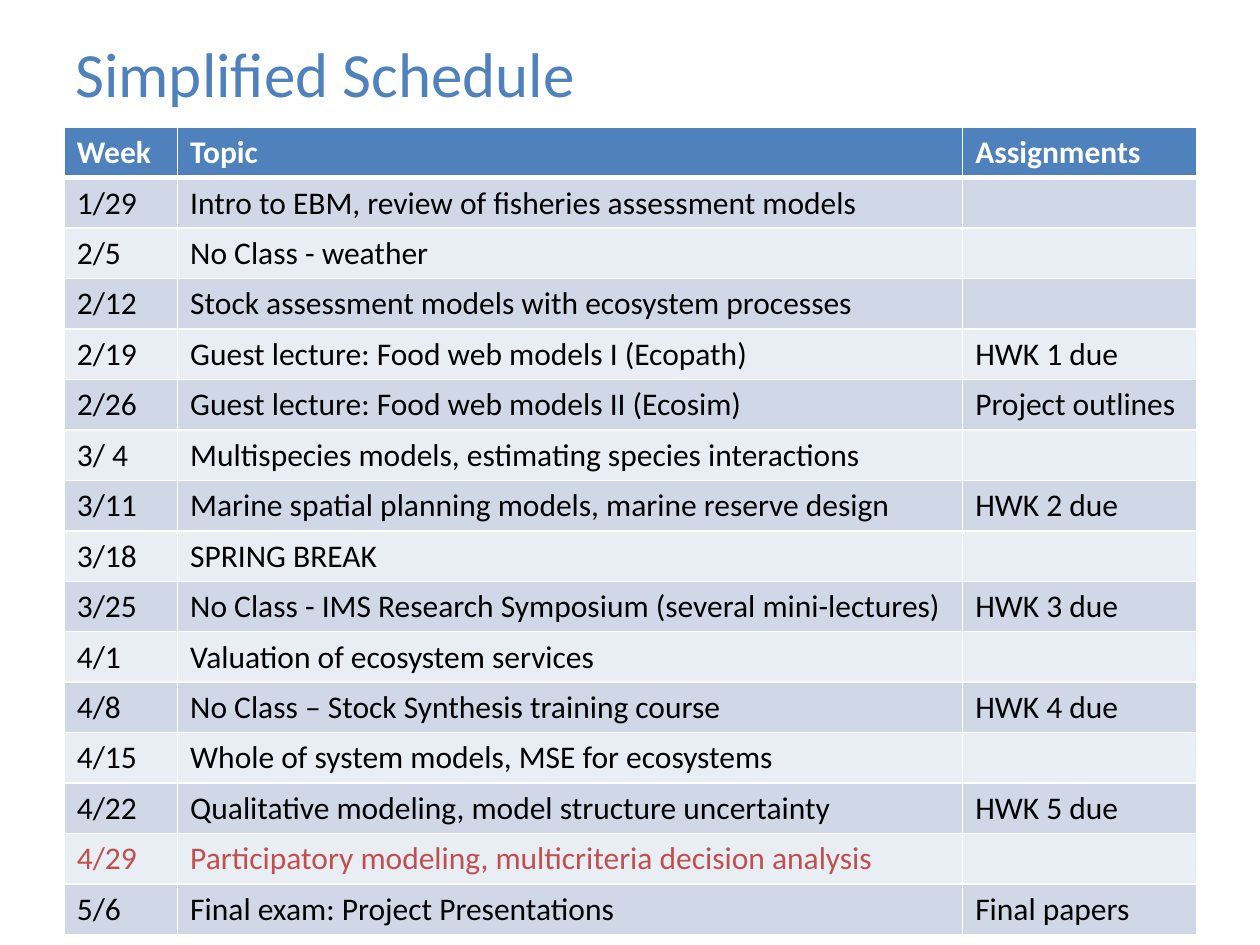
"""Build the course schedule slide: a title above a banded table."""
from lxml.etree import SubElement
from pptx import Presentation
from pptx.dml.color import RGBColor
from pptx.enum.text import MSO_ANCHOR
from pptx.oxml.ns import qn
from pptx.util import Pt

COLORS = {
    "accent": "4F81BD", "white": "FFFFFF", "black": "000000",
    "highlight": "C0504D", "dark_band": "D0D8E8", "light_band": "E9EDF4",
}
TITLE = "Simplified Schedule"
HEADINGS = ("Week", "Topic", "Assignments")
CLASSES = [
    ("1/29", "Intro to EBM, review of fisheries assessment models", ""),
    ("2/5", "No Class - weather", ""),
    ("2/12", "Stock assessment models with ecosystem processes", ""),
    ("2/19", "Guest lecture: Food web models I (Ecopath)", "HWK 1 due"),
    ("2/26", "Guest lecture: Food web models II (Ecosim)", "Project outlines"),
    ("3/ 4", "Multispecies models, estimating species interactions", ""),
    ("3/11", "Marine spatial planning models, marine reserve design", "HWK 2 due"),
    ("3/18", "SPRING BREAK", ""),
    ("3/25", "No Class - IMS Research Symposium (several mini-lectures)", "HWK 3 due"),
    ("4/1", "Valuation of ecosystem services", ""),
    ("4/8", "No Class – Stock Synthesis training course", "HWK 4 due"),
    ("4/15", "Whole of system models, MSE for ecosystems", ""),
    ("4/22", "Qualitative modeling, model structure uncertainty", "HWK 5 due"),
    ("4/29", "Participatory modeling, multicriteria decision analysis", ""),
    ("5/6", "Final exam: Project Presentations", "Final papers"),
]
HIGHLIGHTED_WEEK = "4/29"
COLUMN_WIDTHS = (64.8, 448.6, 133.9)
ROW_HEIGHT = 28.8
TABLE_LEFT, TABLE_TOP = 36.7, 72.7


def rgb(name):
    return RGBColor.from_string(COLORS[name])


def write(frame, text, size=18, color="black", bold=False):
    paragraph = frame.paragraphs[0]
    paragraph.text = text
    font = paragraph.font
    font.name, font.size, font.bold = "Calibri", Pt(size), bold
    font.color.rgb = rgb(color)
    for run in paragraph.runs:
        run.font.name, run.font.size, run.font.bold = "Calibri", Pt(size), bold
        run.font.color.rgb = rgb(color)


def set_borders(cell, top=1, bottom=1):
    properties = cell._tc.get_or_add_tcPr()
    for side, width in (("L", 1), ("R", 1), ("T", top), ("B", bottom)):
        line = SubElement(properties, qn(f"a:ln{side}"), w=str(Pt(width)))
        fill = SubElement(line, qn("a:solidFill"))
        SubElement(fill, qn("a:srgbClr"), val=COLORS["white"])


def add_title(slide):
    frame = slide.shapes.add_textbox(Pt(36), Pt(14.4), Pt(648), Pt(54)).text_frame
    frame.word_wrap = True
    frame.vertical_anchor = MSO_ANCHOR.MIDDLE
    write(frame, TITLE, size=36, color="accent")


def add_schedule(slide):
    rows = [HEADINGS, *CLASSES]
    schedule = slide.shapes.add_table(
        len(rows), len(HEADINGS), Pt(TABLE_LEFT), Pt(TABLE_TOP),
        Pt(sum(COLUMN_WIDTHS)), Pt(ROW_HEIGHT * len(rows))).table
    for column, width in zip(schedule.columns, COLUMN_WIDTHS):
        column.width = Pt(width)
    for index, entries in enumerate(rows):
        schedule.rows[index].height = Pt(ROW_HEIGHT)
        heading = index == 0
        if heading:
            band, ink = "accent", "white"
        else:
            band = "dark_band" if index % 2 else "light_band"
            ink = "highlight" if entries[0] == HIGHLIGHTED_WEEK else "black"
        for cell, entry in zip(schedule.rows[index].cells, entries):
            set_borders(cell, top=3 if index == 1 else 1, bottom=3 if heading else 1)
            cell.fill.solid()
            cell.fill.fore_color.rgb = rgb(band)
            write(cell.text_frame, entry, color=ink, bold=heading)


def main():
    deck = Presentation()
    deck.slide_width, deck.slide_height = Pt(720), Pt(540)
    slide = deck.slides.add_slide(deck.slide_layouts[6])
    add_title(slide)
    add_schedule(slide)
    deck.save("out.pptx")


if __name__ == "__main__":
    main()
